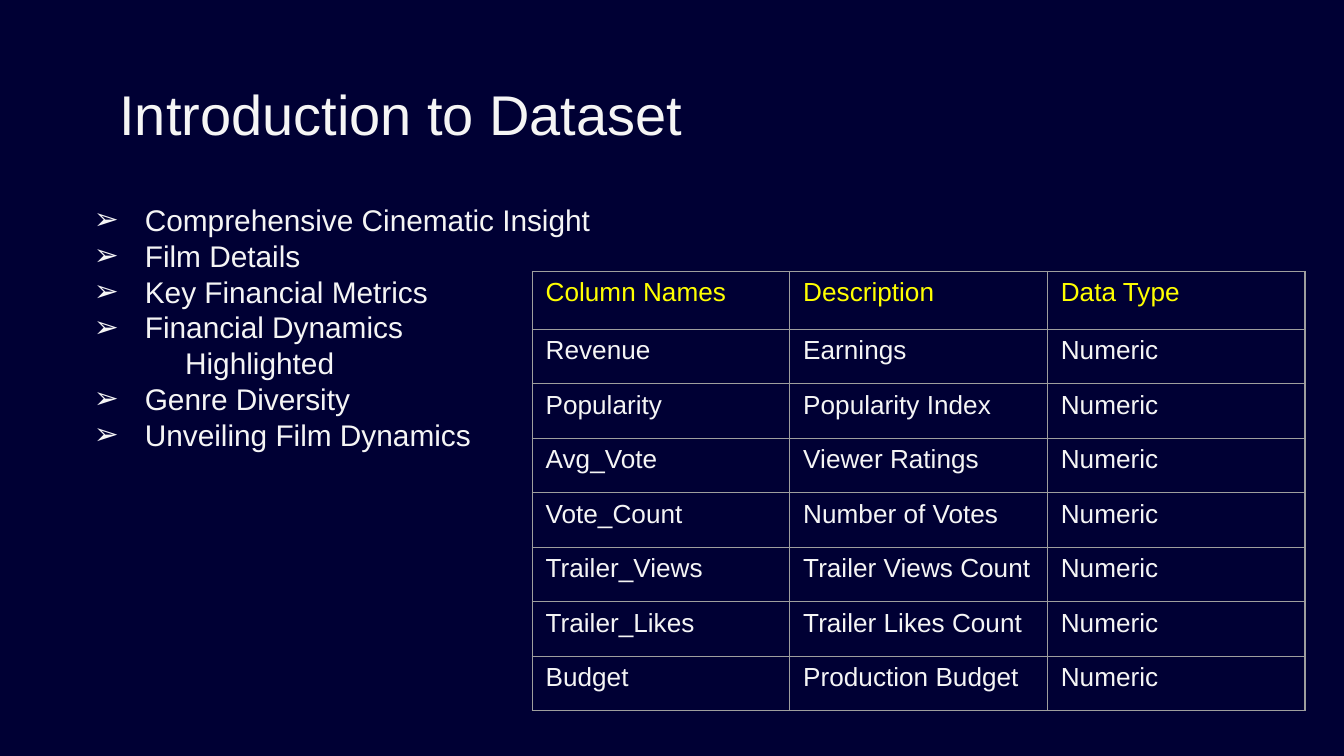
from dataclasses import dataclass

from lxml.etree import SubElement
from pptx import Presentation
from pptx.dml.color import RGBColor
from pptx.enum.text import MSO_ANCHOR
from pptx.oxml.ns import qn
from pptx.util import Emu, Inches, Pt

COLUMNS = 100
SLIDE_SIZE = Inches(10), Inches(5.625)
UNIT = SLIDE_SIZE[0] / COLUMNS


@dataclass(frozen=True)
class Theme:
    font: str = "Arial"
    background: str = "000034"
    text: str = "F5F5F5"
    header: str = "FFFF00"
    border: str = "9E9E9E"
    title_size: float = 30
    list_size: float = 16
    table_size: float = 14
    border_width: float = 0.75


@dataclass(frozen=True)
class Area:
    column: float
    row: float
    columns: float
    rows: float

    def lengths(self) -> tuple:
        return tuple(map(grid, (self.column, self.row, self.columns, self.rows)))


@dataclass(frozen=True)
class Item:
    text: str
    bulleted: bool = True


THEME = Theme()
TITLE_AREA = Area(7.9, 4.9, 84.3, 6.3)
LIST_AREA = Area(6, 14, 89.3, 36.1)
TABLE_AREA = Area(39.6, 20.2, 57.5, 32.7)
HEADER_ROWS = 4.3
BULLET_INDENT = 3.8
CONTINUATION_INDENT = 6.8

ITEMS = (
    Item("Comprehensive Cinematic Insight"),
    Item("Film Details"),
    Item("Key Financial Metrics"),
    Item("Financial Dynamics"),
    Item("Highlighted", bulleted=False),
    Item("Genre Diversity"),
    Item("Unveiling Film Dynamics"),
)
HEADER = ("Column Names", "Description", "Data Type")
FIELDS = (
    ("Revenue", "Earnings"),
    ("Popularity", "Popularity Index"),
    ("Avg_Vote", "Viewer Ratings"),
    ("Vote_Count", "Number of Votes"),
    ("Trailer_Views", "Trailer Views Count"),
    ("Trailer_Likes", "Trailer Likes Count"),
    ("Budget", "Production Budget"),
)


def grid(units: float) -> Emu:
    return Emu(round(units * UNIT))


def write(paragraph, text: str, size: float, color: str) -> None:
    run = paragraph.add_run()
    run.text = text
    for name, value in {"name": THEME.font, "size": Pt(size)}.items():
        setattr(run.font, name, value)
    run.font.color.rgb = RGBColor.from_string(color)


def add_text_frame(slide, area: Area):
    frame = slide.shapes.add_textbox(*area.lengths()).text_frame
    settings = {"word_wrap": True, "vertical_anchor": MSO_ANCHOR.TOP}
    settings |= {f"margin_{side}": grid(1) for side in ("left", "top", "right", "bottom")}
    for name, value in settings.items():
        setattr(frame, name, value)
    return frame


def set_indent(paragraph, item: Item) -> None:
    properties = paragraph._p.get_or_add_pPr()
    if not item.bulleted:
        properties.set("marL", str(grid(CONTINUATION_INDENT)))
        return
    properties.set("marL", str(grid(BULLET_INDENT)))
    properties.set("indent", str(-grid(BULLET_INDENT)))
    color = SubElement(properties, qn("a:buClr"))
    SubElement(color, qn("a:srgbClr"), val=THEME.text)
    SubElement(properties, qn("a:buFont"), typeface=THEME.font)
    SubElement(properties, qn("a:buChar"), char="➢")


def add_list(slide, area: Area, items: tuple[Item, ...]) -> None:
    frame = add_text_frame(slide, area)
    for index, item in enumerate(items):
        paragraph = frame.add_paragraph() if index else frame.paragraphs[0]
        set_indent(paragraph, item)
        write(paragraph, item.text, THEME.list_size, THEME.text)


def style_cell(cell) -> None:
    properties = cell._tc.get_or_add_tcPr()
    for side in ("a:lnL", "a:lnR", "a:lnT", "a:lnB"):
        line = SubElement(properties, qn(side), w=str(Pt(THEME.border_width)))
        fill = SubElement(line, qn("a:solidFill"))
        SubElement(fill, qn("a:srgbClr"), val=THEME.border)
    cell.fill.background()


def add_field_table(slide, area: Area) -> None:
    rows = (HEADER, *((*field, "Numeric") for field in FIELDS))
    table = slide.shapes.add_table(len(rows), len(HEADER), *area.lengths()).table
    for name in ("first_row", "horz_banding"):
        setattr(table, name, False)
    for column in table.columns:
        column.width = grid(area.columns / len(HEADER))
    body_rows = (area.rows - HEADER_ROWS) / len(FIELDS)
    for row_index, values in enumerate(rows):
        table.rows[row_index].height = grid(body_rows if row_index else HEADER_ROWS)
        color = THEME.text if row_index else THEME.header
        for column_index, value in enumerate(values):
            cell = table.cell(row_index, column_index)
            style_cell(cell)
            write(cell.text_frame.paragraphs[0], value, THEME.table_size, color)


def main() -> None:
    presentation = Presentation()
    presentation.slide_width, presentation.slide_height = SLIDE_SIZE
    slide = presentation.slides.add_slide(presentation.slide_layouts[6])
    background = slide.background.fill
    background.solid()
    background.fore_color.rgb = RGBColor.from_string(THEME.background)
    title = add_text_frame(slide, TITLE_AREA).paragraphs[0]
    write(title, "Introduction to Dataset", THEME.title_size, THEME.text)
    add_list(slide, LIST_AREA, ITEMS)
    add_field_table(slide, TABLE_AREA)
    presentation.save("out.pptx")


if __name__ == "__main__":
    main()
